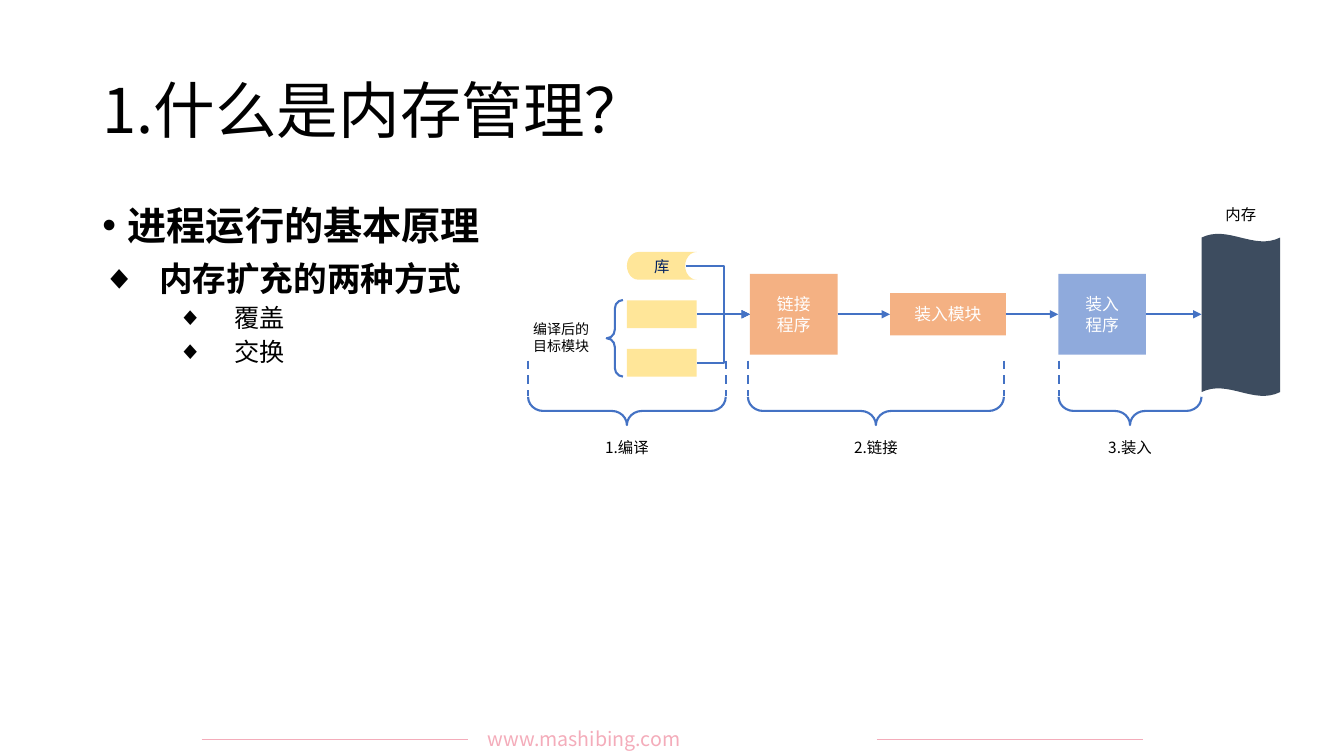
from lxml import etree
from pptx import Presentation
from pptx.dml.color import RGBColor
from pptx.enum.dml import MSO_LINE
from pptx.enum.shapes import MSO_CONNECTOR, MSO_SHAPE
from pptx.enum.text import MSO_ANCHOR, PP_ALIGN
from pptx.oxml.ns import qn
from pptx.util import Cm, Pt

RECT, STORE = MSO_SHAPE.RECTANGLE, MSO_SHAPE.FLOWCHART_STORED_DATA
BRACE, WAVE = MSO_SHAPE.LEFT_BRACE, MSO_SHAPE.WAVE
LINE, ELBOW = MSO_CONNECTOR.STRAIGHT, MSO_CONNECTOR.ELBOW
DASH = MSO_LINE.DASH
LEFT, MID, JUST = PP_ALIGN.LEFT, PP_ALIGN.CENTER, PP_ALIGN.JUSTIFY
TOP, CENTER = MSO_ANCHOR.TOP, MSO_ANCHOR.MIDDLE
FONT = "Noto Sans CJK SC"
HUES = {
    "black": "000000", "white": "FFFFFF", "navy": "002060", "pink": "F4ACBA",
    "blue": "4472C4", "sky": "8FAADC", "yellow": "FFE699",
    "orange": "F4B183", "slate": "3D4C5F",
}


def hue(name):
    return RGBColor.from_string(HUES[name])


def add_xml(node, tag, **attrs):
    return etree.SubElement(node, qn(tag), attrs)


def write(frame, text, size=11, color="black", bold=False, align=MID,
          bullet=None, indent=0, hang=0, level=0, space=0, lines=None, more=False):
    """Write each line of text as a paragraph; more=True adds to the frame."""
    for i, part in enumerate(text.split("\n")):
        para = frame.add_paragraph() if more or i else frame.paragraphs[0]
        para.alignment, para.level = align, level
        para.space_before, para.line_spacing = Pt(space), lines
        if bullet:
            props = para._p.get_or_add_pPr()
            props.set("marL", str(Cm(indent)))
            props.set("indent", str(-Cm(hang)))
            add_xml(props, "a:buFont", typeface="Arial")
            add_xml(props, "a:buChar", char=bullet)
        run = para.add_run()
        run.text = part
        font = run.font
        font.name, font.size, font.bold = FONT, Pt(size), bold
        font.color.rgb = hue(color)
        add_xml(run._r.get_or_add_rPr(), "a:ea", typeface=FONT)


def text_box(slide, x, y, w, h, anchor=TOP):
    frame = slide.shapes.add_textbox(Cm(x), Cm(y), Cm(w), Cm(h)).text_frame
    frame.word_wrap, frame.vertical_anchor = True, anchor
    return frame


def shape(slide, kind, x, y, w, h, fill=None, text="", size=12, color="white"):
    item = slide.shapes.add_shape(kind, Cm(x), Cm(y), Cm(w), Cm(h))
    item.shadow.inherit = False
    if fill:
        item.fill.solid()
        item.fill.fore_color.rgb = hue(fill)
        item.line.fill.background()
    else:
        item.fill.background()
        item.line.color.rgb, item.line.width = hue("blue"), Pt(1.5)
    if text:
        item.text_frame.vertical_anchor = CENTER
        write(item.text_frame, text, size=size, color=color)
    return item


def brace(slide, x, y, w, h):
    """A brace that points left when tall and down when wide."""
    thin, long = sorted((w, h))
    item = shape(slide, BRACE, x + (w - thin) / 2, y + (h - long) / 2, thin, long)
    item.adjustments[0] = 0.535
    if w > h:
        item.rotation = 270


def link(slide, x1, y1, x2, y2, color="blue", width=1.5, dash=None,
         arrow=False, bend=None):
    kind = LINE if bend is None else ELBOW
    item = slide.shapes.add_connector(kind, Cm(x1), Cm(y1), Cm(x2), Cm(y2))
    item.line.color.rgb, item.line.width = hue(color), Pt(width)
    if dash:
        item.line.dash_style = dash
    if arrow:
        add_xml(item.line._get_or_add_ln(), "a:tailEnd", type="triangle")
    props = item._element.spPr
    if bend is not None:
        ratio = round((bend - x1) / (x2 - x1) * 100000)
        guides = props.find(qn("a:prstGeom")).find(qn("a:avLst"))
        add_xml(guides, "a:gd", name="adj1", fmla=f"val {ratio}")
    add_xml(props, "a:effectLst")


def footer(slide, x, y):
    for start in (x, x + 17.02):
        link(slide, start, y + 0.43, start + 6.71, y + 0.43, color="pink", width=0.5)
    write(text_box(slide, x + 6.96, y, 9.78, 0.86), "www.mashibing.com",
          size=14, color="pink", align=JUST)


def title(slide, x, y, w, h):
    write(text_box(slide, x, y, w, h, CENTER), "1.什么是内存管理？",
          size=44, align=LEFT, lines=0.9)


def body(slide, x, y, w, h):
    frame = text_box(slide, x, y, w, h)
    write(frame, "进程运行的基本原理", size=28, bold=True, align=LEFT,
          bullet="•", indent=0.64, hang=0.64, lines=0.9)
    write(frame, "内存扩充的两种方式", size=24, bold=True, align=LEFT,
          bullet="◆", indent=1.43, hang=1.43, space=10, lines=0.9, more=True)
    write(frame, "覆盖\n交换", size=18, align=LEFT, level=1,
          bullet="◆", indent=3.33, hang=1.43, space=5, lines=0.9, more=True)


def diagram(slide, x, y):
    mid = y + 2.87
    link_x, mod_x, load_x, mem_x = x + 5.79, x + 9.32, x + 13.56, x + 17.17
    box_w, box_h, mod_w = 2.21, 2.03, 2.92

    # Library and object modules
    for i, (kind, text, edge) in enumerate(
            [(STORE, "库", 4.17), (RECT, "", 4.45), (RECT, "", 4.45)]):
        row = mid + (i - 1) * 1.22
        shape(slide, kind, x + 2.69, row - 0.35, 1.76, 0.7, "yellow", text, 11, "navy")
        link(slide, x + edge, row, link_x, mid, arrow=True,
             bend=None if row == mid else x + 5.13)
    write(text_box(slide, x, y + 2.9, 2.06, 1.04), "编译后的\n目标模块", size=10)
    brace(slide, x + 2.18, y + 2.51, 0.41, 1.93)

    # Linker, load module, loader and memory
    for left, w, h, fill, text in [
            (link_x, box_w, box_h, "orange", "链接\n程序"),
            (mod_x, mod_w, 1.07, "orange", "装入模块"),
            (load_x, box_w, box_h, "sky", "装入\n程序")]:
        shape(slide, RECT, left, mid - h / 2, w, h, fill, text)
    memory = shape(slide, WAVE, mem_x, y + 0.84, 1.98, 4.09, "slate")
    memory.adjustments[0] = 0.024
    write(text_box(slide, mem_x, y, 1.98, 0.66), "内存")
    for start, end in [(link_x + box_w, mod_x), (mod_x + mod_w, load_x),
                       (load_x + box_w, mem_x)]:
        link(slide, start, mid, end, mid, arrow=True)

    # Three stages: dashed edges, brace and caption
    for left, w, text, edges in [(0.2, 4.98, "1.编译", 2), (5.74, 6.45, "2.链接", 2),
                                 (13.57, 3.6, "3.装入", 1)]:
        for edge in (x + left, x + left + w)[:edges]:
            link(slide, edge, y + 4.04, edge, y + 4.93, dash=DASH)
        brace(slide, x + left, y + 4.95, w, 0.71)
        write(text_box(slide, x + left + w / 2 - 0.99, y + 5.87, 1.98, 0.74), text)


def main():
    deck = Presentation()
    deck.slide_width, deck.slide_height = Cm(33.87), Cm(19.05)
    slide = deck.slides.add_slide(deck.slide_layouts[6])
    footer(slide, 5.08, 18.19)
    title(slide, 2.33, 1.01, 29.21, 3.68)
    body(slide, 2.33, 5.07, 29.21, 12.95)
    diagram(slide, 13.11, 5.05)
    deck.save("out.pptx")


if __name__ == "__main__":
    main()
